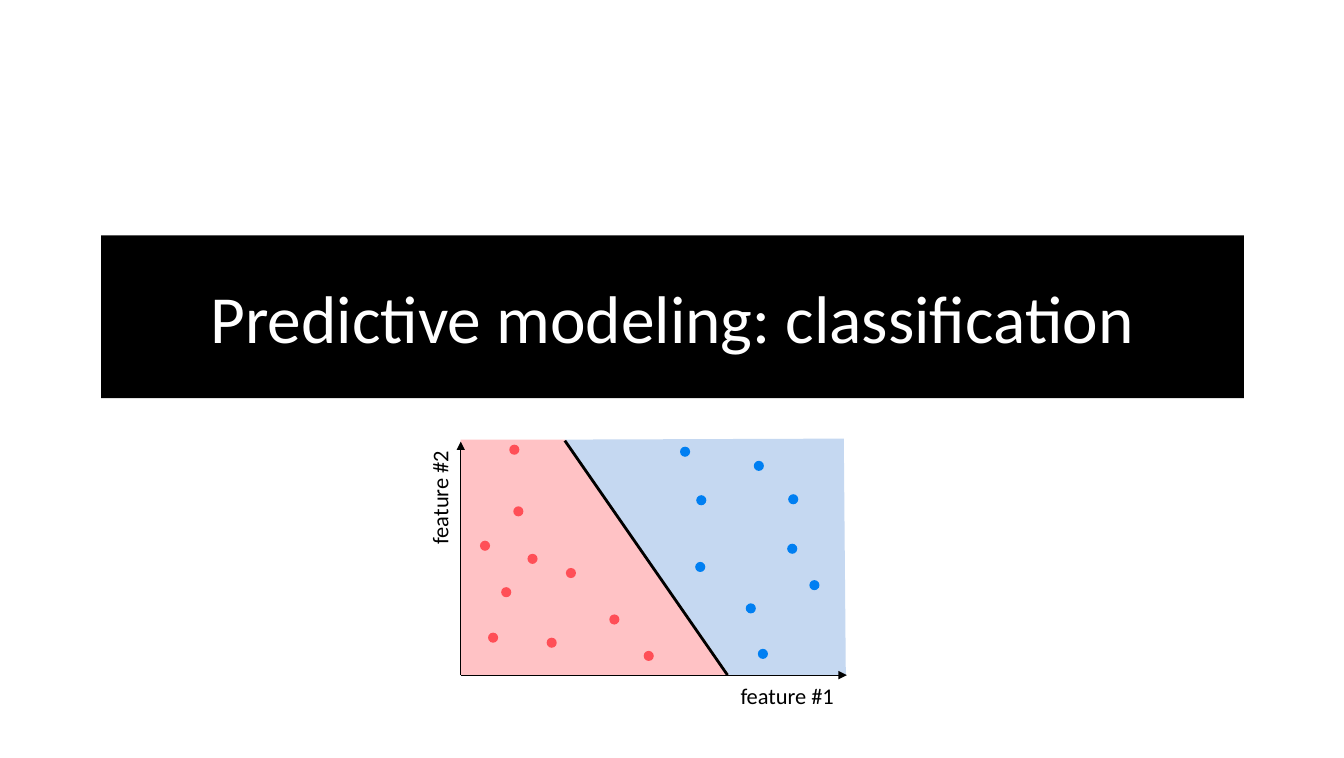
from lxml.etree import SubElement
from pptx import Presentation
from pptx.dml.color import RGBColor
from pptx.enum.shapes import MSO_CONNECTOR, MSO_SHAPE
from pptx.enum.text import MSO_ANCHOR, MSO_AUTO_SIZE, PP_ALIGN
from pptx.oxml.ns import qn
from pptx.util import Emu, Inches, Pt


class Theme:
    font = "Calibri"
    black = RGBColor.from_string("000000")
    white = RGBColor.from_string("FFFFFF")
    red = RGBColor.from_string("FF4F57")
    blue = RGBColor.from_string("007FF2")
    pale = RGBColor.from_string("C5D8F1")
    head = 48
    label = 16
    thin = 0.75
    thick = 2


COLS, ROWS = 133, 75
deck = Presentation()
deck.slide_width, deck.slide_height = Inches(13.3), Inches(7.5)
cell = deck.slide_width / COLS


def grid(*counts):
    """Turn counts of grid cells into lengths."""
    return [Emu(round(count * cell)) for count in counts]


def write(frame, text, size, color, align=PP_ALIGN.LEFT, anchor=MSO_ANCHOR.TOP):
    frame.word_wrap = True
    frame.auto_size = MSO_AUTO_SIZE.NONE
    frame.vertical_anchor = anchor
    frame.text = text
    para = frame.paragraphs[0]
    para.alignment = align
    para.font.name = Theme.font
    para.font.size = Pt(size)
    para.font.color.rgb = color


slide = deck.slides.add_slide(deck.slide_layouts[5])
shapes = slide.shapes

# Title band
title = shapes.title
title.left, title.top, title.width, title.height = grid(10, 23.3, 113.1, 16.1)
title.fill.solid()
title.fill.fore_color.rgb = Theme.black
write(title.text_frame, "Predictive modeling: classification", Theme.head,
      Theme.white, align=PP_ALIGN.CENTER, anchor=MSO_ANCHOR.MIDDLE)

# Plot edges and the ends of the class boundary, in grid cells
left, right, top, base = 45.6, 83.7, 43.5, 66.8
high, low = 55.9, 72

# Dots of each class: left and top, in grid cells
reds = [(47.5, 53.5), (63.7, 64.4), (50.8, 50.1), (48.3, 62.6), (49.6, 58.1),
        (56, 56.2), (50.4, 44), (52.2, 54.8), (54.1, 63.1), (60.3, 60.8)]
blues = [(67.3, 44.2), (75, 64.2), (68.9, 49), (73.8, 59.7), (68.8, 55.6),
         (80.1, 57.4), (74.6, 45.6), (77.9, 53.8), (78, 48.9)]

# Each class: region colour, opacity, outline, dot colour, dots
classes = [
    (Theme.red, 34, [(left, top), (high, top), (low, base), (left, base)],
     Theme.red, reds),
    (Theme.pale, 100, [(high, top), (83.5, 43.4), (right, base), (72.2, base)],
     Theme.blue, blues),
]
for tint, alpha, outline, color, dots in classes:
    start, *rest = [grid(*point) for point in outline]
    pen = shapes.build_freeform(*start, scale=1.0)
    pen.add_line_segments(rest, close=True)
    area = pen.convert_to_shape()
    marks = [shapes.add_shape(MSO_SHAPE.OVAL, *grid(x, y, 1, 1)) for x, y in dots]
    for shape, fill in [(area, tint)] + [(mark, color) for mark in marks]:
        shape.shadow.inherit = False
        shape.fill.solid()
        shape.fill.fore_color.rgb = fill
        shape.line.fill.background()
    if alpha < 100:
        paint = area.fill._xPr.find(qn("a:solidFill"))[0]
        SubElement(paint, qn("a:alpha"), val=str(alpha * 1000))

# Axes and boundary
for ends, width, arrow in [
    ((left, base, 83.8, base), Theme.thin, True),
    ((left, base, left, 43.7), Theme.thin, True),
    ((low, base, high, 43.6), Theme.thick, False),
]:
    line = shapes.add_connector(MSO_CONNECTOR.STRAIGHT, *grid(*ends))
    line.line.color.rgb = Theme.black
    line.line.width = Pt(width)
    if arrow:
        SubElement(line.line._get_or_add_ln(), qn("a:tailEnd"), type="triangle")
    SubElement(line._element.spPr, qn("a:effectLst"))

# Axis labels
for text, x, y, turn in [("feature #1", 72.3, 67, 0), ("feature #2", 37.2, 46.7, 270)]:
    box = shapes.add_textbox(*grid(x, y, 12.6, 3.7))
    box.rotation = turn
    write(box.text_frame, text, Theme.label, Theme.black)

deck.save("out.pptx")
